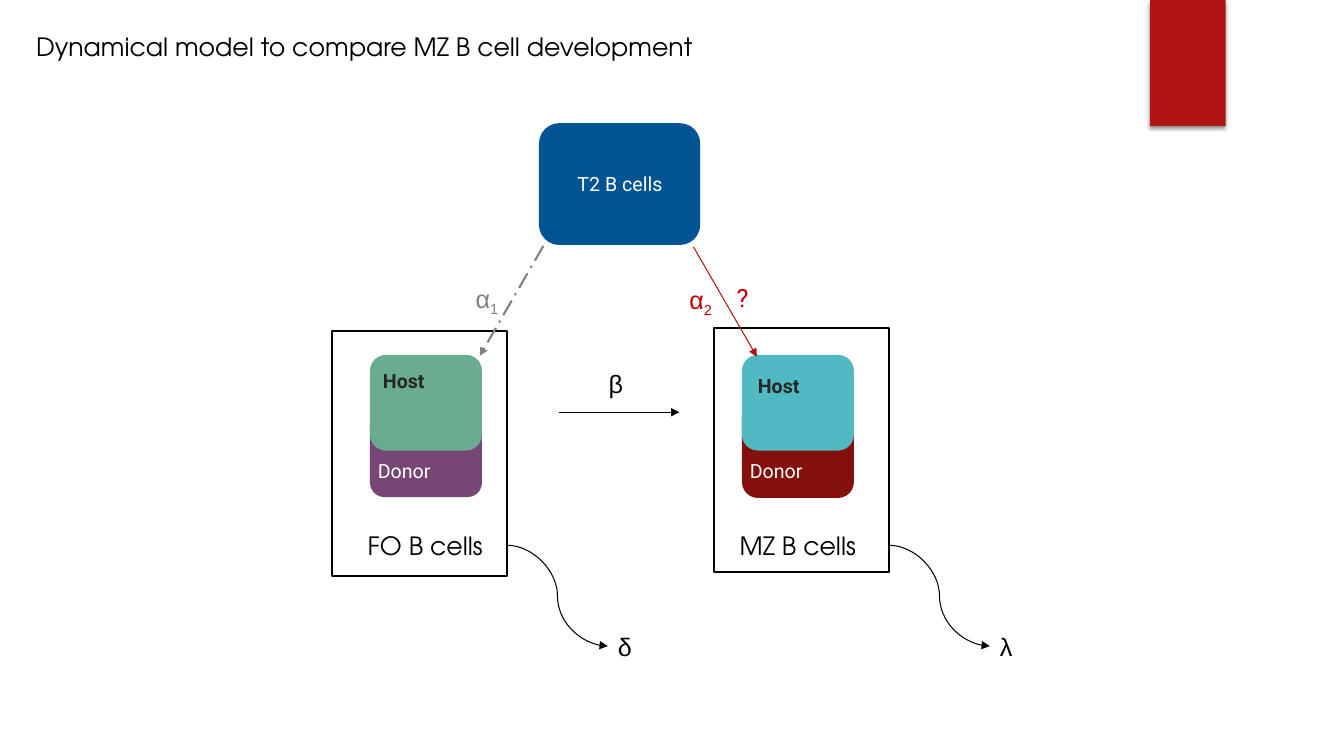
from dataclasses import dataclass

from lxml import etree
from pptx import Presentation
from pptx.dml.color import RGBColor
from pptx.enum.dml import MSO_LINE
from pptx.enum.shapes import MSO_CONNECTOR, MSO_SHAPE
from pptx.enum.text import MSO_AUTO_SIZE
from pptx.oxml import parse_xml
from pptx.oxml.ns import nsdecls, qn
from pptx.util import Pt

RECT, ROUND = MSO_SHAPE.RECTANGLE, MSO_SHAPE.ROUNDED_RECTANGLE
STRAIGHT, CURVE = MSO_CONNECTOR.STRAIGHT, MSO_CONNECTOR.CURVE
DASH_DOT = MSO_LINE.LONG_DASH_DOT
FIT_TEXT = MSO_AUTO_SIZE.SHAPE_TO_FIT_TEXT

HEADING, BODY, GREEK = "TeX Gyre Adventor", "Roboto", "Arial"
COLORS = {
    "black": "000000", "white": "FFFFFF", "dark": "262626", "gray": "808080",
    "accent": "B01513", "red": "C00000", "blue": "025492",
    "purple": "764674", "green": "6AAC90", "maroon": "84100E", "teal": "50B9C1",
}

CELL_W, CELL_H, HOST_TOP = 80, 68.4, 253.44
FRAME_W, FRAME_H = 124.8, 174.5
EXIT_TOP, EXIT_SPAN = 389.5, 72


@dataclass
class Box:
    left: float
    top: float
    width: float
    height: float
    fill: str = ""
    line: str = ""
    kind: int = RECT


@dataclass
class Label:
    text: str
    left: float
    top: float
    width: float
    size: float = 18
    font: str = GREEK
    color: str = "black"
    bold: bool = False
    subscript: str = ""


@dataclass
class Arrow:
    start: tuple[float, float]
    end: tuple[float, float]
    color: str = "black"
    weight: float = 0.75
    kind: int = STRAIGHT
    dash: int | None = None


@dataclass
class Compartment:
    name: str
    frame_left: float
    frame_top: float
    cell_left: float
    donor_top: float
    donor_height: float
    donor_color: str
    host_color: str
    host_label: tuple[float, float]
    loss_rate: str


COMPARTMENTS = [
    Compartment("FO B cells", 237.4, 236.7, 264.3, 293.8, 61.2,
                "purple", "green", (266.4, 259.9), "δ"),
    Compartment("MZ B cells", 510.3, 234, 530, 287.3, 68.4,
                "maroon", "teal", (534.2, 263.5), "λ"),
]
ARROWS = [
    Arrow((399.6, 294.5), (485.3, 294.5)),
    Arrow((495.4, 176.4), (540.7, 254.9), "accent"),
    Arrow((388.1, 175.7), (342.7, 254.2), "gray", 1.5, dash=DASH_DOT),
]
LABELS = [
    Label("Dynamical model to compare MZ B cell development", 18.7, 18.7, 507.6, font=HEADING),
    Label("T2 B cells", 405.4, 119.5, 75.6, 14, BODY, "white"),
    Label("β", 427.7, 259.9, 29.5),
    Label("α", 332.6, 198.7, 36.7, color="gray", subscript="1"),
    Label("α", 485.3, 199.4, 36.7, color="red", subscript="2"),
    Label("?", 519.1, 198, 23, font=BODY, color="red"),
]


def rgb(name: str) -> RGBColor:
    return RGBColor.from_string(COLORS[name])


def add_box(s, box: Box):
    sp = s.shapes.add_shape(box.kind, Pt(box.left), Pt(box.top), Pt(box.width), Pt(box.height))
    sp.shadow.inherit = False
    if box.fill:
        sp.fill.solid()
        sp.fill.fore_color.rgb = rgb(box.fill)
    else:
        sp.fill.background()
    if box.line:
        sp.line.color.rgb = rgb(box.line)
        sp.line.width = Pt(1.5)
    else:
        sp.line.fill.background()
    return sp


def add_drop_shadow(sp) -> None:
    effects = sp._element.spPr.find(qn("a:effectLst"))
    effects.append(parse_xml(
        f'<a:outerShdw {nsdecls("a")} blurRad="{Pt(3)}" dist="{Pt(2)}" dir="5400000" '
        'rotWithShape="0"><a:srgbClr val="000000"><a:alpha val="45000"/></a:srgbClr>'
        '</a:outerShdw>'))


def add_label(s, label: Label) -> None:
    height = 28.8 if label.size == 18 else 24.2
    sp = s.shapes.add_textbox(Pt(label.left), Pt(label.top), Pt(label.width), Pt(height))
    tf = sp.text_frame
    tf.word_wrap = False
    tf.auto_size = FIT_TEXT
    p = tf.paragraphs[0]
    for text, baseline in ((label.text, 0), (label.subscript, -25000)):
        if not text:
            continue
        r = p.add_run()
        r.text = text
        r.font.name = label.font
        r.font.size = Pt(label.size)
        r.font.bold = label.bold
        r.font.color.rgb = rgb(label.color)
        if baseline:
            r.font._element.set("baseline", str(baseline))


def add_arrow(s, arrow: Arrow) -> None:
    cn = s.shapes.add_connector(arrow.kind, *map(Pt, arrow.start + arrow.end))
    cn.line.color.rgb = rgb(arrow.color)
    cn.line.width = Pt(arrow.weight)
    if arrow.dash is not None:
        cn.line.dash_style = arrow.dash
    sp_pr = cn._element.spPr
    etree.SubElement(sp_pr.find(qn("a:ln")), qn("a:tailEnd"), type="triangle")
    etree.SubElement(sp_pr, qn("a:effectLst"))


def add_compartment(s, c: Compartment) -> None:
    """Draw a framed donor/host cell pair with its loss arrow."""
    add_box(s, Box(c.frame_left, c.frame_top, FRAME_W, FRAME_H, line="black"))
    add_box(s, Box(c.cell_left, c.donor_top, CELL_W, c.donor_height, c.donor_color, kind=ROUND))
    add_box(s, Box(c.cell_left, HOST_TOP, CELL_W, CELL_H, c.host_color, kind=ROUND))
    add_label(s, Label("Host", *c.host_label, 44.6, 14, BODY, "dark", True))
    add_label(s, Label("Donor", c.cell_left - 1.5, 324, 52.6, 14, BODY, "white"))
    add_label(s, Label(c.name, c.cell_left - 8.7, 375.1, 98.3, font=HEADING))
    exit_left = c.frame_left + FRAME_W
    loss_left, loss_top = exit_left + EXIT_SPAN, EXIT_TOP + EXIT_SPAN
    add_arrow(s, Arrow((exit_left, EXIT_TOP), (loss_left, loss_top), kind=CURVE))
    add_label(s, Label(c.loss_rate, loss_left, loss_top - 14.4, 28.8))


def main() -> None:
    prs = Presentation()
    prs.slide_width, prs.slide_height = Pt(960), Pt(540)
    s = prs.slides.add_slide(prs.slide_layouts[6])
    add_drop_shadow(add_box(s, Box(821.5, 0, 54, 90, "accent")))
    add_box(s, Box(385, 88, 115.2, 87, "blue", kind=ROUND))
    for compartment in COMPARTMENTS:
        add_compartment(s, compartment)
    for arrow in ARROWS:
        add_arrow(s, arrow)
    for label in LABELS:
        add_label(s, label)
    prs.save("out.pptx")


if __name__ == "__main__":
    main()
